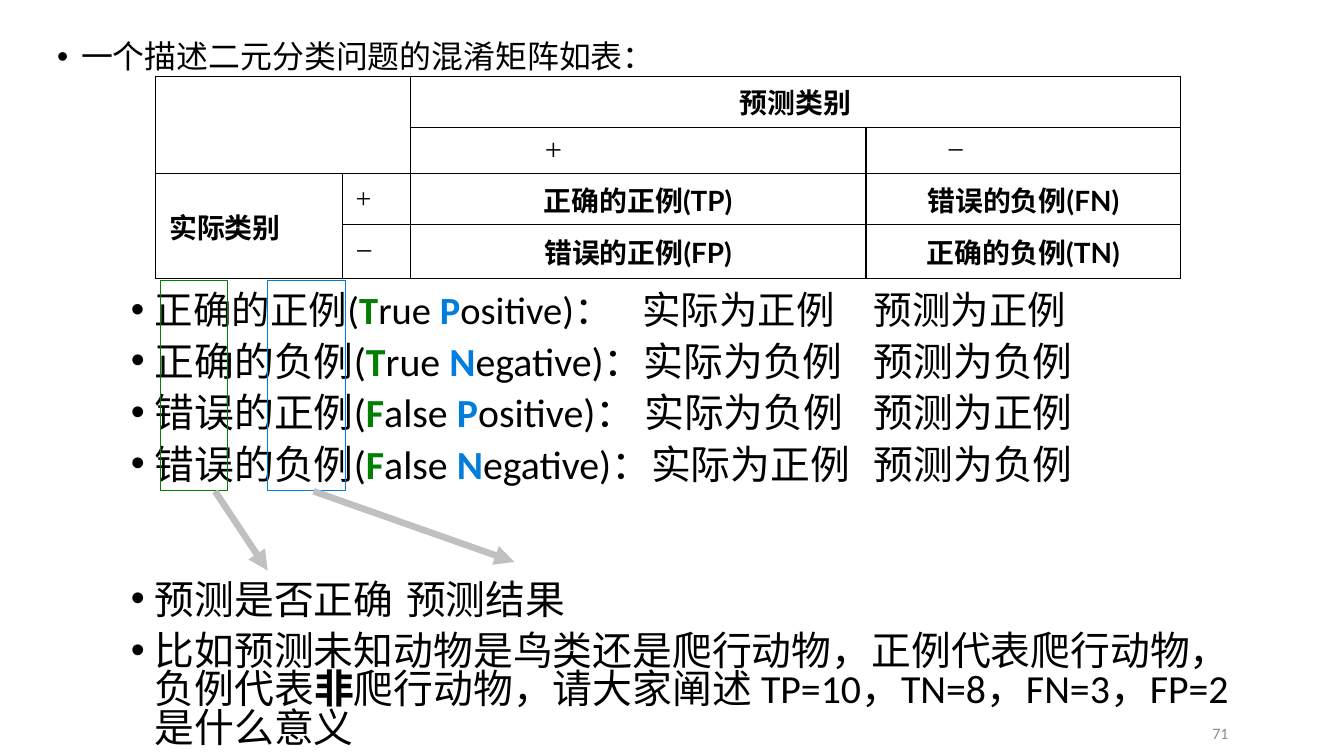
from lxml import etree
from pptx import Presentation
from pptx.dml.color import RGBColor
from pptx.enum.shapes import MSO_CONNECTOR, MSO_SHAPE
from pptx.enum.text import MSO_ANCHOR, PP_ALIGN
from pptx.oxml.ns import qn
from pptx.util import Inches, Pt

BLACK = RGBColor(0x00, 0x00, 0x00)
WHITE = RGBColor(0xFF, 0xFF, 0xFF)
GREEN = RGBColor(0x00, 0x80, 0x00)
BLUE = RGBColor(0x00, 0x7D, 0xDD)
GRAY = RGBColor(0x8C, 0x8C, 0x8C)
SILVER = RGBColor(0xC0, 0xC0, 0xC0)

LEFT, CENTER, RIGHT = PP_ALIGN.LEFT, PP_ALIGN.CENTER, PP_ALIGN.RIGHT
MIDDLE, TOP = MSO_ANCHOR.MIDDLE, MSO_ANCHOR.TOP
RECT, STRAIGHT = MSO_SHAPE.RECTANGLE, MSO_CONNECTOR.STRAIGHT

COLS = (1.95, 0.71, 4.77, 3.29)
ROWS = (0.53, 0.49, 0.53, 0.56)
HEAD = dict(size=21, font="Lato", bold=True)
SIGN = dict(size=23, font="Times New Roman")
# row, column, last row, last column, text, format, align, indent
CELLS = (
    (0, 0, 1, 1, "", HEAD, LEFT, 0),
    (0, 2, 0, 3, "预测类别", HEAD, CENTER, 0),
    (1, 2, 1, 2, "+", SIGN, LEFT, 1.27),
    (1, 3, 1, 3, "−", SIGN, LEFT, 0.71),
    (2, 0, 3, 0, "实际类别", HEAD, LEFT, 0),
    (2, 1, 2, 1, "+", dict(SIGN, size=21), LEFT, 0),
    (2, 2, 2, 2, "正确的正例(TP)", HEAD, CENTER, 0),
    (2, 3, 2, 3, "错误的负例(FN)", HEAD, CENTER, 0),
    (3, 1, 3, 1, "−", SIGN, LEFT, 0),
    (3, 2, 3, 2, "错误的正例(FP)", HEAD, CENTER, 0),
    (3, 3, 3, 3, "正确的负例(TN)", HEAD, CENTER, 0),
)
# name, first word, second word, gap, actual, predicted, size
TERMS = (
    ("正确的正例", "True", "Positive", "\t", "实际为正例", "预测为正例", 29),
    ("正确的负例", "True", "Negative", "", "实际为负例", "预测为负例", 30),
    ("错误的正例", "False", "Positive", " ", "实际为负例", "预测为正例", 30),
    ("错误的负例", "False", "Negative", "", "实际为正例", "预测为负例", 30),
)


def write(para, text, size=30, font="Calibri", color=BLACK, bold=False):
    run = para.add_run()
    run.text = text
    run.font.size = Pt(size)
    run.font.name = font
    run.font.color.rgb = color
    run.font.bold = bold


def add_box(slide, box, anchor=TOP):
    frame = slide.shapes.add_textbox(*map(Inches, box)).text_frame
    frame.word_wrap = True
    frame.vertical_anchor = anchor
    return frame


def add_item(frame, margin, spacing, before=0, tabs=()):
    """Return a bulleted paragraph; the first one fills the empty paragraph."""
    first = frame.paragraphs[0]
    para = frame.add_paragraph() if first.runs else first
    props = para._p.get_or_add_pPr()
    props.set("marL", str(Inches(margin)))
    props.set("indent", str(Inches(-0.25)))
    etree.SubElement(props, qn("a:buFont"), typeface="Arial")
    etree.SubElement(props, qn("a:buChar"), char="•")
    if tabs:
        stops = etree.SubElement(props, qn("a:tabLst"))
        for tab in tabs:
            etree.SubElement(stops, qn("a:tab"), pos=str(Inches(tab)), algn="l")
    para.line_spacing = spacing
    if before:
        para.space_before = Pt(before)
    return para


def add_intro(slide, box):
    para = add_item(add_box(slide, box), 0.75, 0.9)
    write(para, "一个描述二元分类问题的混淆矩阵如表：", size=24)


def style_cell(cell):
    cell.fill.solid()
    cell.fill.fore_color.rgb = WHITE
    cell.vertical_anchor = MIDDLE
    cell.margin_left = cell.margin_right = Inches(0.14)
    cell.margin_top = cell.margin_bottom = Inches(0.05)
    props = cell._tc.get_or_add_tcPr()
    for spot, side in enumerate(("lnL", "lnR", "lnT", "lnB")):
        line = etree.Element(qn("a:" + side), w=str(Pt(1)))
        fill = etree.SubElement(line, qn("a:solidFill"))
        etree.SubElement(fill, qn("a:srgbClr"), val=str(BLACK))
        props.insert(spot, line)


def add_matrix(slide, left, top):
    table = slide.shapes.add_table(
        len(ROWS), len(COLS), Inches(left), Inches(top),
        Inches(sum(COLS)), Inches(sum(ROWS))).table
    table.first_row = table.horz_banding = False
    for col, width in zip(table.columns, COLS):
        col.width = Inches(width)
    for row, height in zip(table.rows, ROWS):
        row.height = Inches(height)
    for cell in table.iter_cells():
        style_cell(cell)
    for row, col, end_row, end_col, text, form, align, indent in CELLS:
        cell = table.cell(row, col)
        if (row, col) != (end_row, end_col):
            cell.merge(table.cell(end_row, end_col))
        para = cell.text_frame.paragraphs[0]
        para.alignment = align
        para._p.get_or_add_pPr().set("marL", str(Inches(indent)))
        if text:
            write(para, text, **form)


def add_terms(slide, box):
    frame = add_box(slide, box)
    for index, (name, first, second, gap, fact, guess, size) in enumerate(TERMS):
        para = add_item(frame, 0.25, 0.8, 10 if index else 0, (5.35, 7.77))
        write(para, name + "(", size=size)
        write(para, first[0], size=size, color=GREEN, bold=True)
        write(para, first[1:] + " ", size=size)
        write(para, second[0], size=size, color=BLUE, bold=True)
        write(para, f"{second[1:]})：{gap}{fact}\t{guess}", size=size)
    write(add_item(frame, 0.25, 0.8, 73, (2.88,)), "预测是否正确\t预测结果")
    para = add_item(frame, 0.25, 0.8, 10)
    write(para, "比如预测未知动物是鸟类还是爬行动物，正例代表爬行动物，负例代表")
    write(para, "非", bold=True)
    write(para, "爬行动物，请大家阐述 TP=10，TN=8，FN=3，FP=2是什么意义")


def add_frame(slide, box, color):
    shape = slide.shapes.add_shape(RECT, *map(Inches, box))
    shape.shadow.inherit = False
    shape.fill.background()
    shape.line.color.rgb = color
    shape.line.width = Pt(0.75)


def add_arrow(slide, *ends):
    arrow = slide.shapes.add_connector(STRAIGHT, *map(Inches, ends))
    arrow.line.color.rgb = SILVER
    arrow.line.width = Pt(5)
    etree.SubElement(arrow.line._get_or_add_ln(), qn("a:tailEnd"), type="triangle")
    etree.SubElement(arrow._element.spPr, qn("a:effectLst"))


def add_marks(slide, left, top, height):
    """Frame the two halves of each term and point to what they mean."""
    base = top + height + 0.01
    add_frame(slide, (left, top, 0.7, height), GREEN)
    add_frame(slide, (left + 1.12, top, 0.81, height), BLUE)
    add_arrow(slide, left + 1.6, base, left + 3.7, base + 0.74)
    add_arrow(slide, left + 0.57, base, left + 1.12, base + 0.83)


def add_number(slide, box):
    para = add_box(slide, box, MIDDLE).paragraphs[0]
    para.alignment = RIGHT
    write(para, "71", size=12, color=GRAY)


def main():
    deck = Presentation()
    deck.slide_width, deck.slide_height = Inches(14.06), Inches(7.91)
    slide = deck.slides.add_slide(deck.slide_layouts[6])
    add_intro(slide, (0, 0.38, 13.79, 0.58))
    add_matrix(slide, 1.63, 0.8)
    add_number(slide, (9.79, 7.46, 3.16, 0.42))
    add_terms(slide, (1.27, 3.04, 11.85, 4.87))
    add_marks(slide, 1.68, 2.93, 2.2)
    deck.save("out.pptx")


if __name__ == "__main__":
    main()
